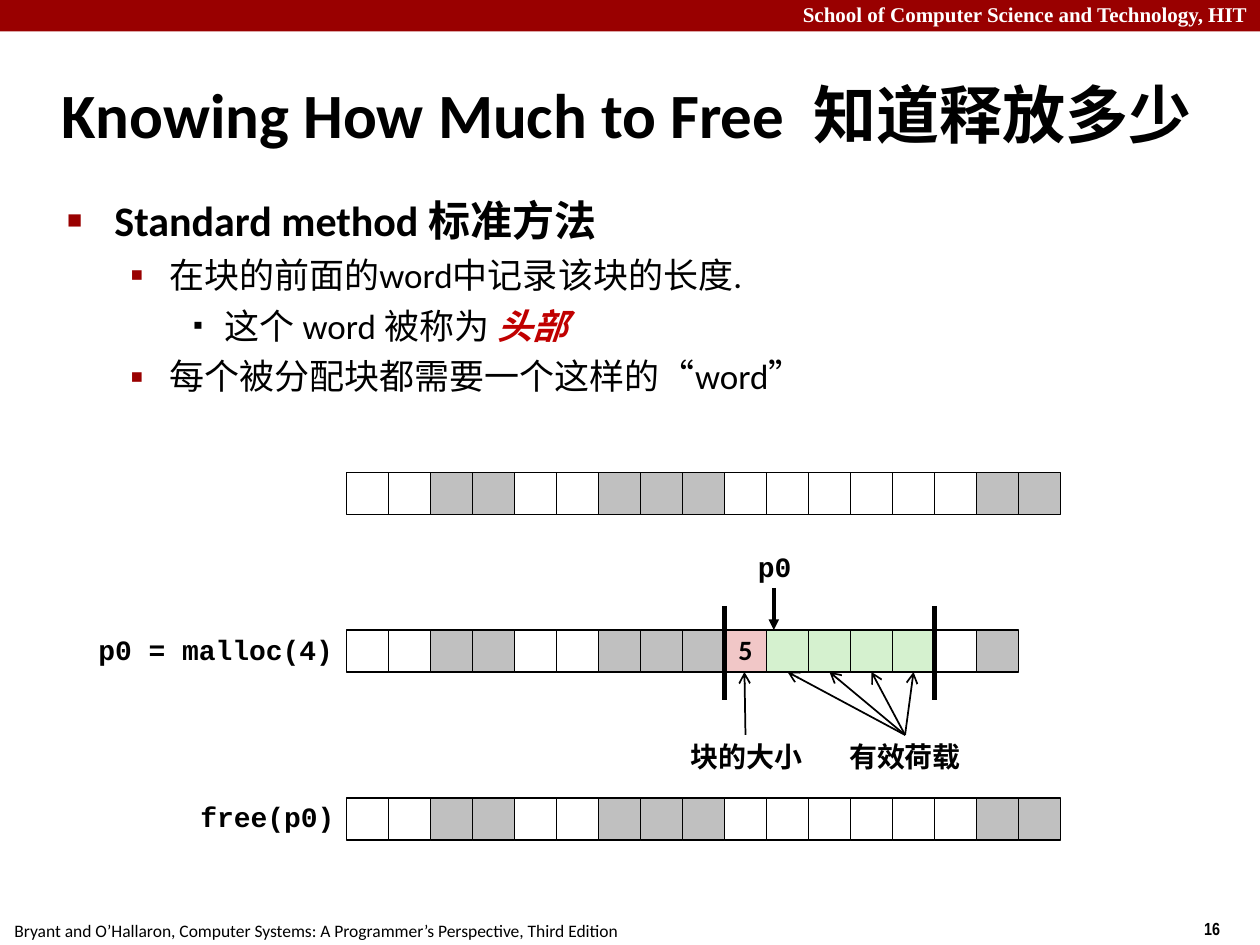
from lxml import etree
from pptx import Presentation
from pptx import util as u
from pptx.dml.color import RGBColor
from pptx.enum import shapes, text
from pptx.oxml import ns

EMU_PER_PX = 7620  # 120 px to the inch
CELL = 40
ROW_LEFT = 330
RED, BLACK, WHITE = "990000", "000000", "FFFFFF"
FILLS = {"f": WHITE, "u": "C0C0C0", "h": "F1C7C7", "p": "D5F1CF"}


def px(n):
    return u.Emu(n * EMU_PER_PX)


def rgb(value):
    return RGBColor.from_string(value)


def sub(parent, tag, **attrs):
    return etree.SubElement(parent, ns.qn(tag), attrs)


def set_indent(p, margin, first):
    pPr = p._p.get_or_add_pPr()
    pPr.set("marL", str(px(margin)))
    pPr.set("indent", str(px(first)))
    return pPr


class Deck:
    """Holds the text style and the current slide."""

    font, mono = "Calibri", "Courier New"
    # margin, first-line indent, space before, bullet, its colour and size
    levels = [
        (45, -45, 6, "■", RED, 60),
        (97, -37, 5, "▪", RED, 110),
        (150, -30, 5, "▪", BLACK, 80),
    ]

    def __init__(self):
        self.prs = Presentation()
        self.prs.slide_width, self.prs.slide_height = px(1200), px(900)
        self.s = self.prs.slides.add_slide(self.prs.slide_layouts[1])

    def style(self, r, size, font=None, color=BLACK, bold=True, italic=False):
        f = r.font
        f.name, f.size = font or self.font, u.Pt(size)
        f.bold, f.italic = bold, italic
        f.color.rgb = rgb(color)

    def place(self, sp, x, y, w, h):
        sp.left, sp.top, sp.width, sp.height = px(x), px(y), px(w), px(h)
        sp.text_frame.auto_size = text.MSO_AUTO_SIZE.NONE

    def title(self, words, box):
        sp = self.s.shapes.title
        self.place(sp, *box)
        tf = sp.text_frame
        tf.vertical_anchor = text.MSO_ANCHOR.MIDDLE
        p = tf.paragraphs[0]
        p.text = words
        p.alignment = text.PP_ALIGN.LEFT
        set_indent(p, 16, -16)
        self.style(p.runs[0], 36)

    def body(self, items, box):
        """Items are (level, plain words, emphasised words)."""
        sp = self.s.placeholders[1]
        self.place(sp, *box)
        tf = sp.text_frame
        for i, (level, words, emphasis) in enumerate(items):
            p = tf.paragraphs[0] if i == 0 else tf.add_paragraph()
            p.text, p.level = words, level
            size = 20 if level else 24
            self.style(p.runs[0], size, bold=level == 0)
            if emphasis:
                r = p.add_run()
                r.text = emphasis
                self.style(r, size, color="C00000", italic=True)
            self.bullet(p, *self.levels[level])

    def bullet(self, p, margin, first, before, char, color, percent):
        p.space_before = u.Pt(before)
        pPr = set_indent(p, margin, first)
        sub(sub(pPr, "a:buClr"), "a:srgbClr", val=color)
        sub(pPr, "a:buSzPct", val=str(percent * 1000))
        sub(pPr, "a:buChar", char=char)

    def label(self, words, box, size, spacing=1.0, wrap=False, align=None, **look):
        sp = self.s.shapes.add_textbox(*map(px, box))
        tf = sp.text_frame
        tf.word_wrap = wrap
        tf.auto_size = text.MSO_AUTO_SIZE.SHAPE_TO_FIT_TEXT
        p = tf.paragraphs[0]
        p.text = words
        p.line_spacing, p.alignment = spacing, align
        self.style(p.runs[0], size, **look)

    def rect(self, x, y, w, h, fill, line=None):
        sp = self.s.shapes.add_shape(
            shapes.MSO_SHAPE.RECTANGLE, px(x), px(y), px(w), px(h))
        sp.shadow.inherit = False
        sp.fill.solid()
        sp.fill.fore_color.rgb = rgb(fill)
        if line:
            sp.line.color.rgb = rgb(line)
            sp.line.width = u.Pt(1)
        else:
            sp.line.fill.background()
        return sp

    def row(self, y, pattern):
        """Draws one cell per letter; returns the cells."""
        return [self.rect(ROW_LEFT + i * CELL, y, CELL, CELL, FILLS[c], BLACK)
                for i, c in enumerate(pattern)]

    def cell_text(self, sp, words):
        tf = sp.text_frame
        tf.word_wrap = False
        tf.vertical_anchor = text.MSO_ANCHOR.MIDDLE
        p = tf.paragraphs[0]
        p.text = words
        p.alignment, p.line_spacing = text.PP_ALIGN.CENTER, 0.98
        self.style(p.runs[0], 16)

    def line(self, x1, y1, x2, y2, width=1, head=None):
        c = self.s.shapes.add_connector(
            shapes.MSO_CONNECTOR.STRAIGHT, px(x1), px(y1), px(x2), px(y2))
        c.line.color.rgb = rgb(BLACK)
        c.line.width = u.Pt(width)
        if head:
            sub(c.line._get_or_add_ln(), "a:tailEnd", type=head)
        sub(c._element.spPr, "a:effectLst")


def main():
    d = Deck()
    d.rect(0, 0, 1200, 30, RED)
    d.label("School of Computer Science and Technology, HIT", (0, -4, 1200, 36),
            12, wrap=True, align=text.PP_ALIGN.RIGHT,
            font="Times New Roman", color=WHITE)
    d.label("16", (1135, 868, 90, 32), 10, font="Arial Narrow")
    d.label("Bryant and O’Hallaron, Computer Systems: "
            "A Programmer’s Perspective, Third Edition",
            (2, 870, 601, 32), 10, bold=False)

    d.title("Knowing How Much to Free  知道释放多少", (47, 58, 1111, 100))
    d.body([
        (0, "Standard method 标准方法", ""),
        (1, "在块的前面的word中记录该块的长度.", ""),
        (2, "这个 word 被称为 ", "头部"),
        (1, "每个被分配块都需要一个这样的“word”", ""),
    ], (52, 179, 1037, 653))

    free_heap = "ffuuffuuuffffffuu"
    d.row(450, free_heap)
    cells = d.row(600, "ffuuffuuuhppppfu")
    d.cell_text(cells[9], "5")
    d.row(760, free_heap)

    for words, box in [("p0 = malloc(4)", (82, 599, 250, 42)),
                       ("p0", (710, 520, 58, 42)),
                       ("free(p0)", (179, 758, 154, 42))]:
        d.label(words, box, 16, spacing=0.94, font=d.mono)
    for words, x in [("块的大小", 646), ("有效荷载", 797)]:
        d.label(words, (x, 700, 130, 43), 16, spacing=0.98)

    header = ROW_LEFT + 9 * CELL
    for x in (header, header + 5 * CELL):
        d.line(x, 577, x, 667, width=3)
    d.line(737, 560, 737, 600, width=2, head="triangle")
    d.line(710, 700, 709, 640, head="arrow")
    for i in range(1, 5):
        d.line(862, 700, header + i * CELL + CELL // 2, 640, head="arrow")

    d.prs.save("out.pptx")


if __name__ == "__main__":
    main()
